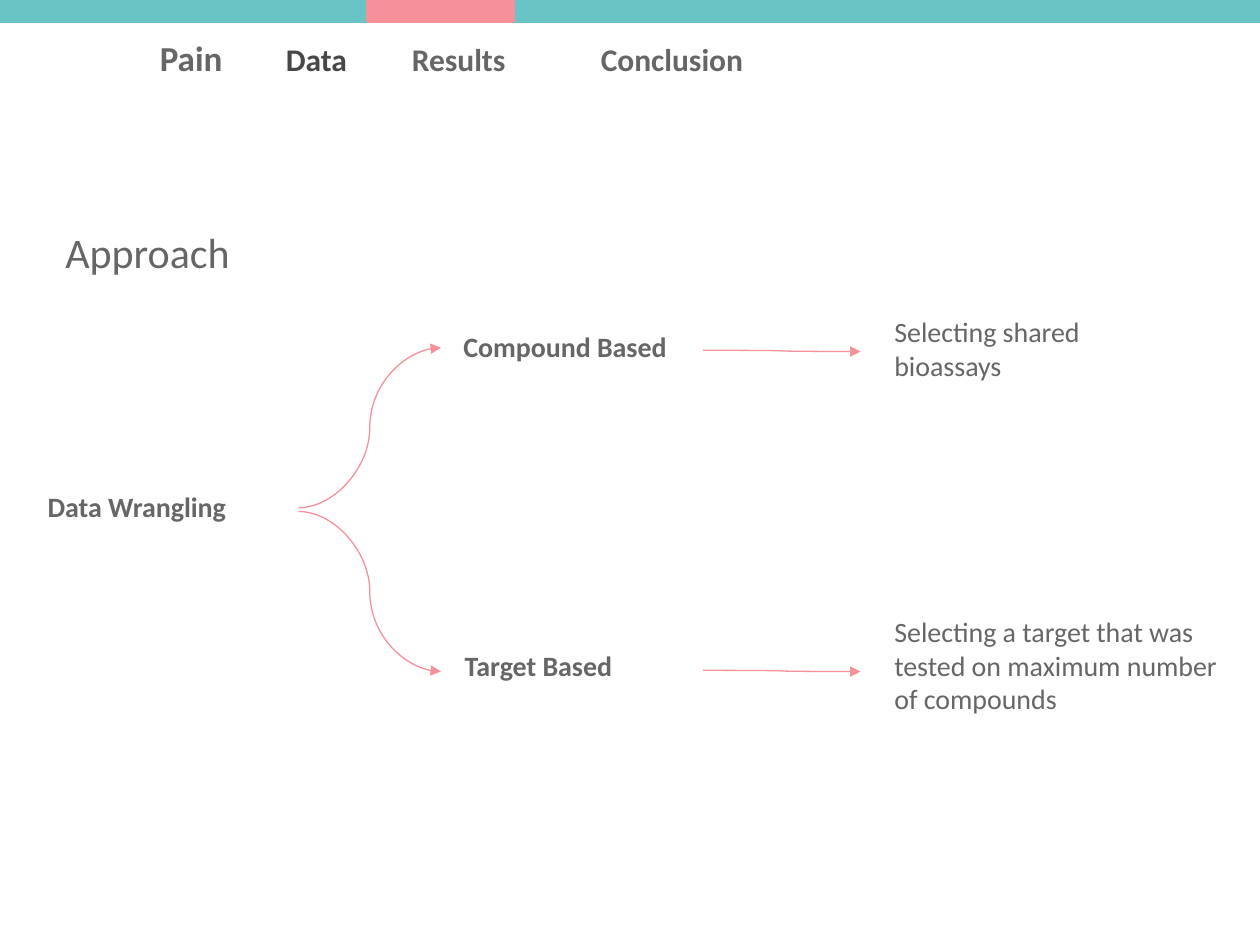
import pptx
import pptx.dml.color
import pptx.enum.shapes
import pptx.enum.text
import pptx.oxml.ns
import pptx.util
from lxml import etree

Inches = pptx.util.Inches
RGBColor = pptx.dml.color.RGBColor

TEAL = RGBColor(0x6A, 0xC4, 0xC6)
PINK = RGBColor(0xF6, 0x91, 0x99)
GRAY = RGBColor(0x66, 0x66, 0x66)
DARK = RGBColor(0x47, 0x47, 0x47)


def add_text(left, top, width, height, runs, bold=False):
    """Add a one-paragraph text box; runs holds (text, size, color) tuples."""
    box = slide.shapes.add_textbox(
        Inches(left), Inches(top), Inches(width), Inches(height))
    box.text_frame.word_wrap = True
    box.text_frame.auto_size = pptx.enum.text.MSO_AUTO_SIZE.SHAPE_TO_FIT_TEXT
    para = box.text_frame.paragraphs[0]
    para.font.name = "Calibri"
    para.font.bold = bold
    for text, size, color in runs:
        span = para.add_run()
        span.text = text
        span.font.size = pptx.util.Pt(size)
        span.font.color.rgb = color


def add_curved_arrow(shapes, start_x, start_y, end_x, end_y):
    arrow = shapes.add_connector(
        pptx.enum.shapes.MSO_CONNECTOR.CURVE,
        Inches(start_x), Inches(start_y), Inches(end_x), Inches(end_y))
    arrow.line.color.rgb = PINK
    arrow.line.width = pptx.util.Pt(0.75)
    qn = pptx.oxml.ns.qn
    etree.SubElement(arrow.line._get_or_add_ln(), qn("a:tailEnd"), type="triangle")
    etree.SubElement(arrow._element.spPr, qn("a:effectLst"))


deck = pptx.Presentation()
deck.slide_width = Inches(10)
deck.slide_height = Inches(7.5)
slide = deck.slides.add_slide(deck.slide_layouts[6])

# Progress bar with the current section highlighted
for left, top, width, height, color in [
    (0, 0, 10, 0.17, TEAL),
    (2.92, 0.01, 1.15, 0.16, PINK),
]:
    bar = slide.shapes.add_shape(
        pptx.enum.shapes.MSO_SHAPE.RECTANGLE,
        Inches(left), Inches(top), Inches(width), Inches(height))
    bar.shadow.inherit = False
    bar.fill.solid()
    bar.fill.fore_color.rgb = color
    bar.line.color.rgb = color
    bar.line.width = pptx.util.Pt(2)

# Section names and heading
add_text(1.17, 0.24, 7.83, 0.44, [
    ("Pain\t\t", 20, GRAY),
    ("Data", 18, DARK),
    ("\t\tResults\t\tConclusion", 18, GRAY),
], bold=True)
add_text(0.42, 1.75, 5.21, 0.5, [("Approach", 24, GRAY)])

# Tree labels
for left, top, width, height, text, bold in [
    (0.28, 3.84, 2, 0.37, "Data Wrangling", True),
    (3.58, 2.57, 2, 0.37, "Compound Based", True),
    (3.59, 5.1, 2.67, 0.37, "Target Based", True),
    (7, 2.45, 2.17, 0.64, "Selecting shared bioassays", False),
    (7, 4.83, 2.8, 0.91,
     "Selecting a target that was tested on maximum number of compounds", False),
]:
    add_text(left, top, width, height, [(text, 16, GRAY)], bold)

# Fork from the root, then one arrow from each branch to its description
fork = slide.shapes.add_group_shape()
for start_y, end_y in [(4.03, 2.76), (4.06, 5.33)]:
    add_curved_arrow(fork.shapes, 2.37, start_y, 3.5, end_y)
for branch_y in (2.78, 5.32):
    add_curved_arrow(slide.shapes, 5.58, branch_y, 6.83, branch_y + 0.01)

deck.save("out.pptx")
